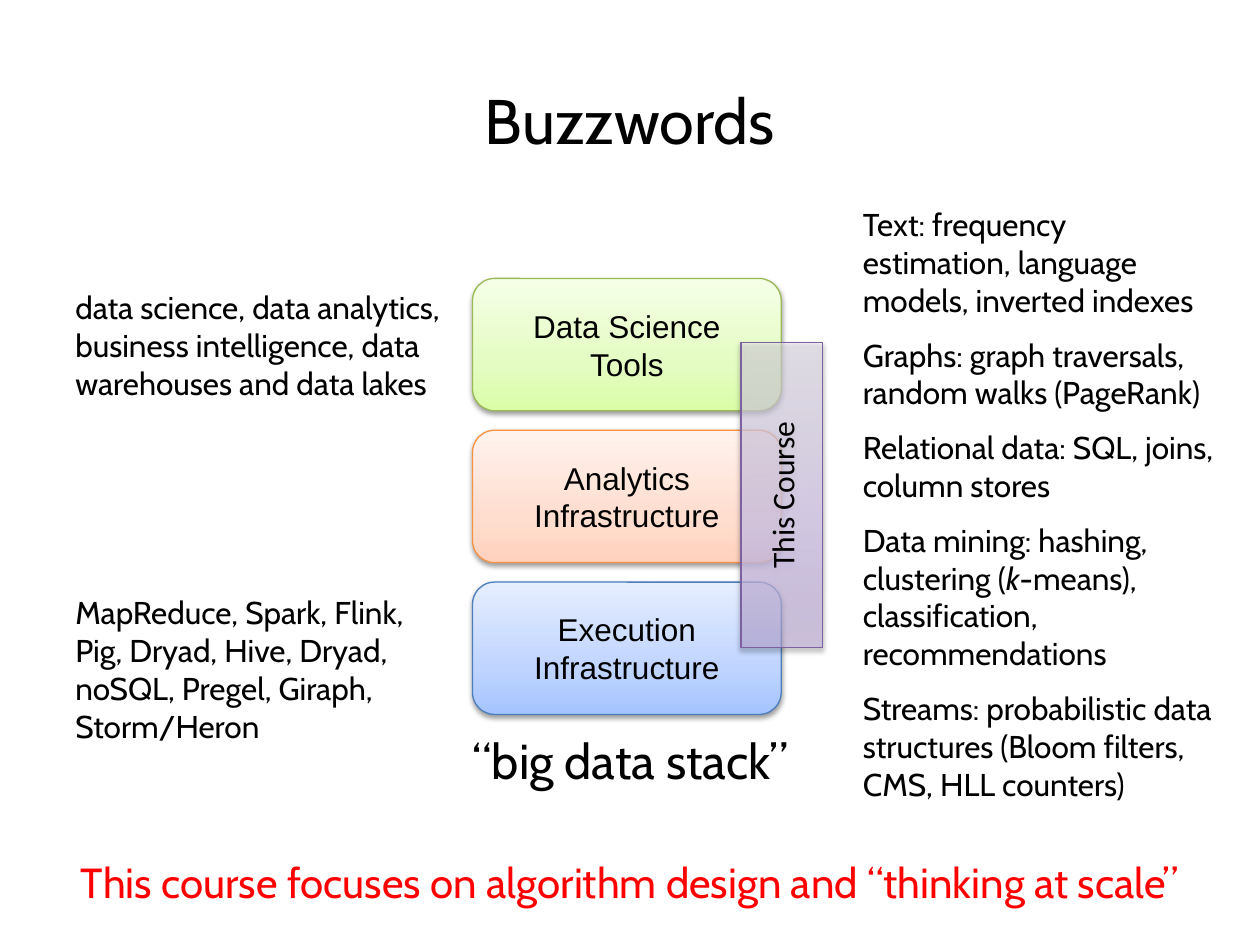
from lxml import etree
from pptx import Presentation
from pptx.dml.color import RGBColor
from pptx.enum.shapes import MSO_SHAPE as SHAPE
from pptx.enum.text import MSO_ANCHOR as ANCHOR, MSO_AUTO_SIZE as AUTO, PP_ALIGN as ALIGN
from pptx.oxml import parse_xml
from pptx.oxml.ns import nsdecls, qn
from pptx.util import Inches, Pt

COLORS = {"text": "000000", "accent": "FF0000", "shadow": "000000"}
LAYERS = [
    ("Data Science\vTools", "98B955", ("DAFDA7", "E4FCC2", "F5FFE7")),
    ("Analytics Infrastructure", "F69240", ("FFD2BD", "FFDED0", "FFF2ED")),
    ("Execution\vInfrastructure", "4B7EBC", ("A4C4FF", "BFD4FF", "E6EEFF")),
]
COURSE = ("This Course", "7D60A0", ("C9B5E8", "D8CBEE", "F0EAF9"))
TOOLS = ("data science, data analytics, business intelligence, data "
         "warehouses and data lakes")
SYSTEMS = ("MapReduce, Spark, Flink, Pig, Dryad, Hive, Dryad, noSQL, Pregel, "
           "Giraph, Storm/Heron")
TOPICS = [
    [("Text: frequency estimation, language models, inverted indexes", False)],
    [("Graphs: graph traversals, random walks (PageRank)", False)],
    [("Relational data: SQL, joins, column stores", False)],
    [("Data mining: hashing, clustering (", False), ("k", True),
     ("-means), classification, recommendations", False)],
    [("Streams: probabilistic data structures (Bloom filters, CMS, HLL counters)", False)],
]


def rgb(name):
    return RGBColor.from_string(COLORS[name])


def place(sp, box):
    sp.left, sp.top, sp.width, sp.height = (Inches(v) for v in box)


def style(p, size=18, font="Cabin", color="text", align=ALIGN.LEFT):
    p.alignment = align
    p.font.size = Pt(size)
    p.font.name = font
    p.font.color.rgb = rgb(color)


def add_text(slide, box, paragraphs, gap=0, **look):
    sp = slide.shapes.add_textbox(*(Inches(v) for v in box))
    tf = sp.text_frame
    tf.word_wrap = True
    for i, runs in enumerate(paragraphs):
        p = tf.paragraphs[0] if i == 0 else tf.add_paragraph()
        for text, italic in runs:
            r = p.add_run()
            r.text = text
            if italic:
                r.font.italic = True
        if i:
            p.space_before = Pt(gap)
        style(p, **look)


def add_line(slide, box, text, **look):
    add_text(slide, box, [[(text, False)]], **look)


def set_gradient(sp, colors, alphas):
    stops = "".join(
        f'<a:gs pos="{pos * 1000}"><a:srgbClr val="{c}">'
        f'<a:alpha val="{alpha * 1000}"/></a:srgbClr></a:gs>'
        for pos, c, alpha in zip((0, 35, 100), colors, alphas))
    sp.fill.background()
    props = sp.fill._xPr
    props.replace(props.find(qn("a:noFill")), parse_xml(
        f'<a:gradFill {nsdecls("a")} rotWithShape="1"><a:gsLst>{stops}</a:gsLst>'
        '<a:lin ang="16200000" scaled="0"/></a:gradFill>'))


def set_shadow(sp):
    sp.shadow.inherit = False
    effects = sp._element.spPr.find(qn("a:effectLst"))
    shadow = etree.SubElement(effects, qn("a:outerShdw"), blurRad=str(Pt(3.1)),
                              dist=str(Pt(1.6)), dir="5400000", rotWithShape="0")
    color = etree.SubElement(shadow, qn("a:srgbClr"), val=COLORS["shadow"])
    etree.SubElement(color, qn("a:alpha"), val="38000")


def add_block(slide, kind, box, block, font, alphas=(100, 100, 100)):
    text, line, colors = block
    sp = slide.shapes.add_shape(kind, *(Inches(v) for v in box))
    set_gradient(sp, colors, alphas)
    sp.line.color.rgb = RGBColor.from_string(line)
    sp.line.width = Pt(0.75)
    set_shadow(sp)
    tf = sp.text_frame
    tf.word_wrap = True
    tf.vertical_anchor = ANCHOR.MIDDLE
    p = tf.paragraphs[0]
    p.text = text
    style(p, font=font, align=ALIGN.CENTER)
    return sp


def add_title(slide, box, text):
    title = slide.shapes.title
    place(title, box)
    tf = title.text_frame
    tf.text = text
    tf.auto_size = AUTO.NONE
    tf.vertical_anchor = ANCHOR.TOP
    style(tf.paragraphs[0], size=36, align=ALIGN.CENTER)


def add_stack(slide, box):
    left, top, width, height = box
    block_h = 1.05
    pitch = (height - block_h) / (len(LAYERS) - 1)
    for i, layer in enumerate(LAYERS):
        add_block(slide, SHAPE.ROUNDED_RECTANGLE,
                  (left, top + i * pitch, width, block_h), layer, "Arial")
    course = add_block(slide, SHAPE.RECTANGLE,
                       (left + 2.13, top + 0.51, 0.65, 2.42),
                       COURSE, "Calibri", (50, 80, 50))
    course.text_frame._txBody.bodyPr.set("vert", "vert270")


def add_buzzwords(slide, box):
    left, top, width, height = box
    note_h = 1.01
    add_line(slide, (left, top, width, note_h), TOOLS)
    add_line(slide, (left, top + height - note_h, width, note_h), SYSTEMS)


def main():
    prs = Presentation()
    prs.slide_width, prs.slide_height = Inches(10), Inches(7.5)
    slide = prs.slides.add_slide(prs.slide_layouts[5])
    add_title(slide, (0, 0.6, 10, 0.75), "Buzzwords")
    add_buzzwords(slide, (0.5, 2.24, 3.17, 3.43))
    add_stack(slide, (3.75, 2.21, 2.45, 3.46))
    add_text(slide, (6.75, 1.58, 3, 4.88), TOPICS, gap=9.7)
    add_line(slide, (0, 5.75, 10, 0.75), "“big data stack”", size=28, align=ALIGN.CENTER)
    add_line(slide, (0, 6.75, 10, 0.5),
             "This course focuses on algorithm design and “thinking at scale”",
             size=24, color="accent", align=ALIGN.CENTER)
    prs.save("out.pptx")


if __name__ == "__main__":
    main()
